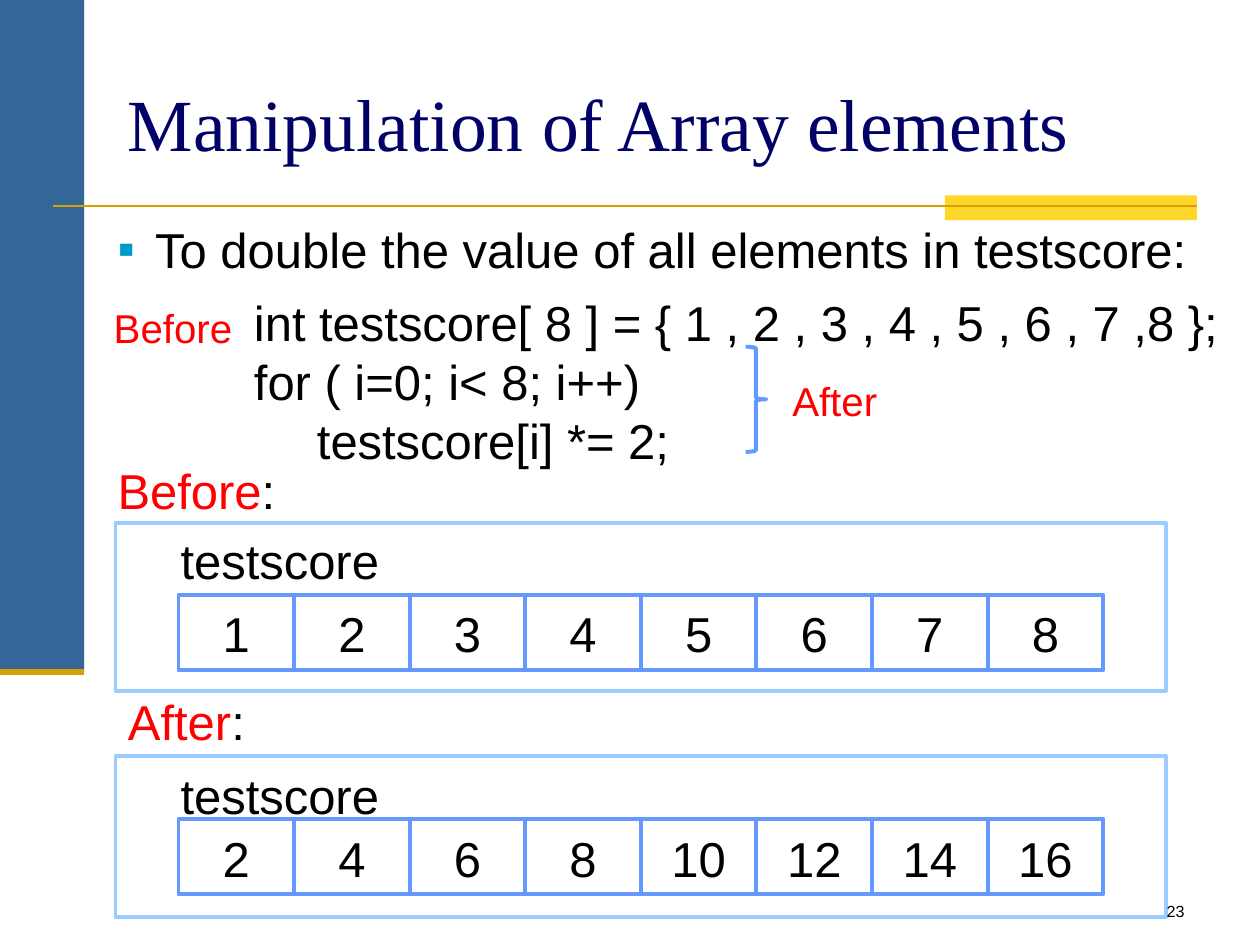
"""Build the slide on doubling every element of an array."""
from dataclasses import dataclass

from lxml.etree import SubElement
from pptx import Presentation
from pptx.dml.color import RGBColor
from pptx.enum.shapes import MSO_CONNECTOR as Conn, MSO_SHAPE as Geo
from pptx.enum.text import MSO_ANCHOR as Anchor, MSO_AUTO_SIZE as Fit, PP_ALIGN as Align
from pptx.oxml.ns import qn
from pptx.util import Cm, Pt

BLACK, RED, BLUE, PALE, GOLD = "000000", "FF0000", "6699FF", "99CCFF", "D89F00"
CELL_LEFT, CELL_W, CELL_H = 3.6, 2.33, 1.52


@dataclass
class Box:
    x: float
    y: float
    w: float
    h: float

    def lengths(self) -> list:
        return [Cm(v) for v in (self.x, self.y, self.w, self.h)]


@dataclass
class ArrayPanel:
    label: str
    label_box: Box
    frame: Box
    name_top: float
    cells_top: float
    values: list[int]


def rgb(value: str) -> RGBColor:
    return RGBColor.from_string(value)


def format_text(tf, text: str, size: float, color: str = BLACK, align=Align.LEFT,
                anchor=Anchor.TOP, font: str = "Arial") -> None:
    tf.text = text
    tf.word_wrap, tf.auto_size, tf.vertical_anchor = True, Fit.NONE, anchor
    tf.margin_left = tf.margin_right = Cm(0.25)
    tf.margin_top, tf.margin_bottom = Cm(0.18), Cm(0.13)
    for p in tf.paragraphs:
        p.alignment = align
        p.line_spacing = Pt(round(size * 1.204, 1))
        for r in p.runs:
            r.font.size, r.font.name = Pt(size), font
            r.font.color.rgb = rgb(color)


def add_text(s, box: Box, text: str, size: float = 28, **style):
    tf = s.shapes.add_textbox(*box.lengths()).text_frame
    format_text(tf, text, size, **style)
    return tf


def add_geo(s, box: Box, fill: str = "", line: str = "", geo=Geo.RECTANGLE):
    sp = s.shapes.add_shape(geo, *box.lengths())
    sp.shadow.inherit = False
    if fill:
        sp.fill.solid()
        sp.fill.fore_color.rgb = rgb(fill)
    else:
        sp.fill.background()
    if line:
        sp.line.color.rgb, sp.line.width = rgb(line), Pt(2.25)
    else:
        sp.line.fill.background()
    return sp


def add_rule(s, x1: float, x2: float, y: float, width: float) -> None:
    cx = s.shapes.add_connector(Conn.STRAIGHT, Cm(x1), Cm(y), Cm(x2), Cm(y))
    cx.line.color.rgb, cx.line.width = rgb(GOLD), Pt(width)
    SubElement(cx._element.spPr, qn("a:effectLst"))


def add_bullet(p, char: str, color: str, indent: float) -> None:
    pPr = p._p.get_or_add_pPr()
    pPr.set("marL", str(Cm(indent)))
    pPr.set("indent", str(-Cm(indent)))
    SubElement(SubElement(pPr, qn("a:buClr")), qn("a:srgbClr"), val=color)
    SubElement(pPr, qn("a:buFont"), typeface="Arial")
    SubElement(pPr, qn("a:buChar"), char=char)


def add_panel(s, panel: ArrayPanel) -> None:
    add_geo(s, panel.frame, line=PALE)
    p = add_text(s, panel.label_box, panel.label, color=RED).paragraphs[0]
    r = p.add_run()
    r.text = ":"
    r.font.size, r.font.name, r.font.color.rgb = Pt(28), "Arial", rgb(BLACK)
    add_text(s, Box(3.39, panel.name_top, 4.65, 1.45), "testscore")
    for i, value in enumerate(panel.values):
        cell = Box(CELL_LEFT + i * CELL_W, panel.cells_top, CELL_W, CELL_H)
        sp = add_geo(s, cell, line=BLUE)
        format_text(sp.text_frame, str(value), 28, align=Align.CENTER)


def main() -> None:
    prs = Presentation()
    prs.slide_width, prs.slide_height = Cm(25.4), Cm(19.05)
    s = prs.slides.add_slide(prs.slide_layouts[5])

    add_geo(s, Box(0, 0, 1.7, 13.55), fill="336699")
    add_geo(s, Box(19.05, 3.94, 5.08, 0.5), fill="FFD72B")
    add_rule(s, 1.06, 24.13, 4.15, 1.5)
    add_rule(s, 0, 1.7, 13.55, 3.5)

    title = s.shapes.title
    title.left, title.top, title.width, title.height = Box(2.33, 0.85, 21.17, 3.17).lengths()
    format_text(title.text_frame, "Manipulation of Array elements", 42, color="000066",
                anchor=Anchor.MIDDLE, font="Times New Roman")

    intro = add_text(s, Box(2.12, 4.24, 22.43, 1.45),
                     "To double the value of all elements in testscore:")
    add_bullet(intro.paragraphs[0], "▪", "0099CC", 0.76)
    add_text(s, Box(4.87, 5.72, 20.11, 3.84),
             "int testscore[ 8 ] = { 1 , 2 , 3 , 4 , 5 , 6 , 7 ,8 };\n"
             "for ( i=0; i< 8; i++)\n"
             "\ttestscore[i] *= 2;")

    scores = list(range(1, 9))
    panels = [
        ArrayPanel("Before", Box(2.12, 9.1, 4.02, 1.45), Box(2.33, 10.54, 21.17, 3.39),
                   10.52, 11.99, scores),
        ArrayPanel("After", Box(2.33, 13.76, 4.02, 1.45), Box(2.33, 15.24, 21.17, 3.25),
                   15.24, 16.51, [2 * n for n in scores]),
    ]
    for panel in panels:
        add_panel(s, panel)

    for text, box in (("Before", Box(1.9, 5.93, 3.18, 1.27)),
                      ("After", Box(15.03, 7.41, 3.6, 1.27))):
        add_text(s, box, text, 23, color=RED, align=Align.CENTER, anchor=Anchor.MIDDLE)
    add_geo(s, Box(15.03, 6.99, 0.42, 2.12), line=BLUE, geo=Geo.RIGHT_BRACE)
    add_text(s, Box(18.84, 17.99, 5.29, 0.64), "23", 9.2, align=Align.RIGHT)

    prs.save("out.pptx")


if __name__ == "__main__":
    main()
